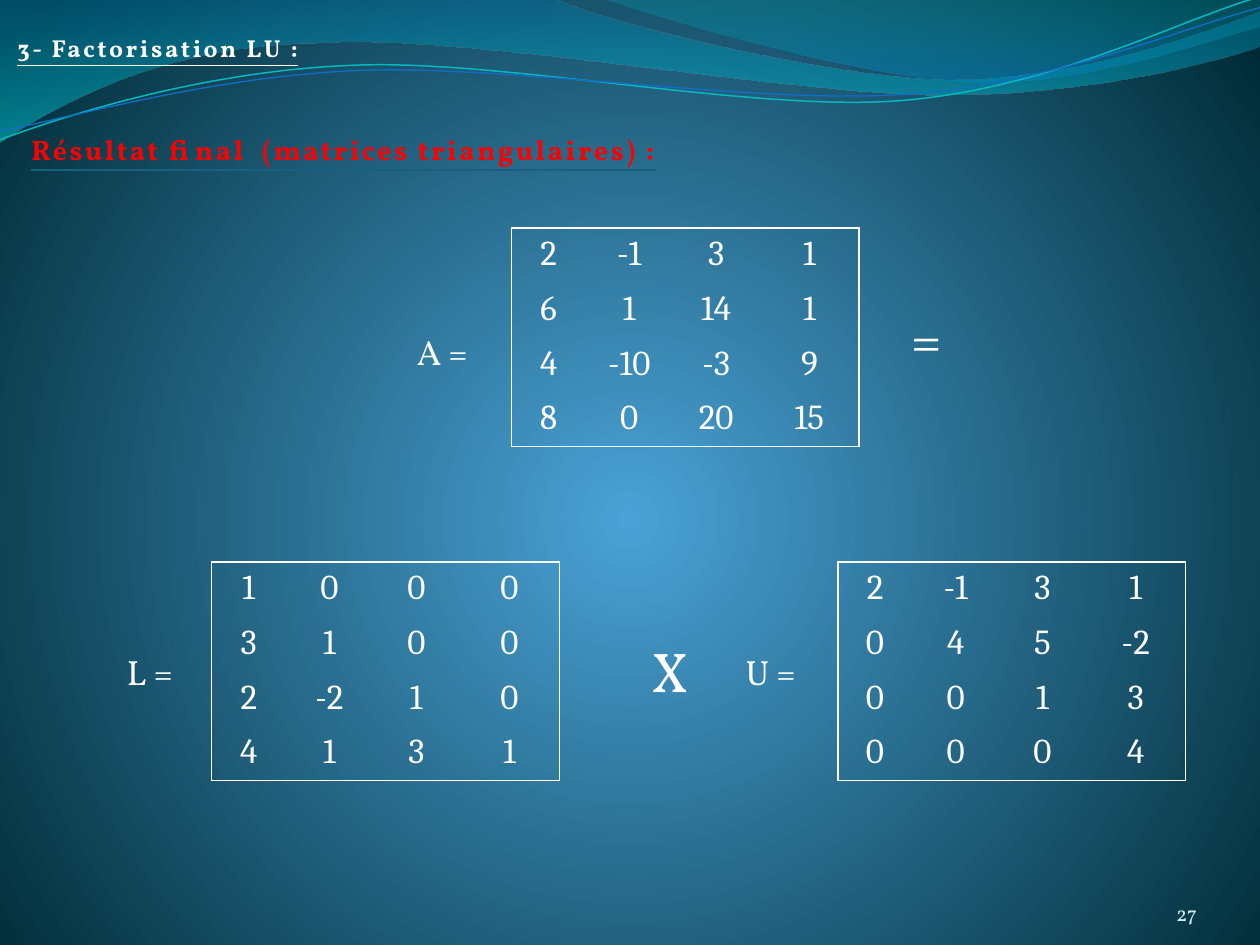
"""Build the LU factorisation result slide: A = L x U over a wave background."""
import math
import pptx
import pptx.dml.color
import pptx.enum.text
import pptx.oxml
import pptx.oxml.ns
import pptx.util
from dataclasses import dataclass


@dataclass(frozen=True)
class Theme:
    """Colours, fonts and sizes of the slide."""
    white: str = "FFFFFF"
    red: str = "FF0000"
    pale: str = "D1EAED"
    dark_teal: str = "17607F"
    text_font: str = "Vollkorn"
    number_font: str = "Cambria"
    small: int = 12
    heading: int = 14
    subheading: int = 16
    body: int = 20
    operator: int = 32
    tracking: float = 1.5
    border: float = 0.96
    backdrop: tuple = ((0, "4AA2D6", 100), (100, "002B36", 100))
    broad_wave: tuple = ((0, "0074A0", 45), (100, "00C4CD", 55))
    corner_wave: tuple = ((20, "008ABF", 45), (100, "00A0A8", 30))
    teal_line: str = "09B7BF"
    blue_line: str = "0F6FC6"


THEME = Theme()
WIDTH, HEIGHT = 10, 7.5
COLUMNS = (0.59, 0.69, 0.69, 0.79)
ROW = 0.43
TILT = 357.3
NO_GRID_STYLE = "{2D5ABB26-0587-4C30-8999-92F81FD0307C}"
GLOW = '<a:path path="circle"><a:fillToRect l="50000" t="55000" r="50000" b="45000"/></a:path>'
DOWN = '<a:lin ang="5400000" scaled="0"/>'
UP = '<a:lin ang="16200000" scaled="0"/>'

MATRICES = [
    ((1.68, 4.46), [(1, 0, 0, 0), (3, 1, 0, 0), (2, -2, 1, 0), (4, 1, 3, 1)]),
    ((6.65, 4.46), [(2, -1, 3, 1), (0, 4, 5, -2), (0, 0, 1, 3), (0, 0, 0, 4)]),
    ((4.06, 1.81), [(2, -1, 3, 1), (6, 1, 14, 1), (4, -10, -3, 9), (8, 0, 20, 15)]),
]
HEADINGS = [
    ("3- Factorisation LU :", (0.04, 0.21, 3.68, 0.33),
     THEME.heading, THEME.white, THEME.white),
    ("Résultat final  (matrices triangulaires) :", (0.15, 1, 5.4, 0.37),
     THEME.subheading, THEME.red, THEME.dark_teal),
]
LABELS = [
    ("L =", (0.91, 5.11, 0.7, 0.43), THEME.body),
    ("U =", (5.82, 5.11, 0.7, 0.43), THEME.body),
    ("A =", (3.21, 2.57, 0.7, 0.43), THEME.body),
    ("=", (7.13, 2.36, 0.39, 0.64), THEME.operator),
    ("X", (5.07, 5, 0.39, 0.64), THEME.operator),
]
PAGE_NUMBER = ("27", (8.67, 6.95, 0.83, 0.4))

BANDS = [
    ((-0.01, -0.01, 10.02, 1.14),
     [(0, 0), (4.4, -0.01),
      (4.76, 0.17, 6.64, 0.63, 7.58, 0.63), (8.53, 0.63, 9.58, 0.26, 10, 0.09),
      (10.01, 0.36),
      (9.83, 0.44, 8.7, 0.76, 7.46, 0.75), (6.22, 0.75, 3.82, 0.28, 2.57, 0.34),
      (1.29, 0.35, 0.46, 0.83, -0.01, 1.13), (0, 0)], THEME.broad_wave, DOWN),
    ((4.79, -0.01, 5.21, 0.7),
     [(4.79, -0.01),
      (5.09, 0.11, 6.82, 0.62, 7.69, 0.65), (8.56, 0.69, 9.61, 0.32, 10, 0.21),
      (10, 0), (4.79, -0.01)], THEME.corner_wave, UP),
]
STRANDS = [
    ((-0.02, 0.22, 10.02, 0.71),
     [(0, 1.11), (0.48, 0.93, 1.58, 0.57, 2.77, 0.52),
      (3.95, 0.46, 5.93, 0.89, 7.13, 0.8), (8.33, 0.71, 9.38, 0.15, 9.98, -0.02)],
     THEME.teal_line, 0.85),
    ((-0.02, 0.3, 10.03, 0.58),
     [(0, 1.04), (0.47, 0.96, 1.64, 0.61, 2.83, 0.56),
      (4.03, 0.51, 5.97, 0.83, 7.17, 0.75), (8.36, 0.67, 9.41, 0.21, 10, 0.06)],
     THEME.blue_line, 0.75),
]


def inches(values):
    return [pptx.util.Inches(value) for value in values]


def color(code):
    return pptx.dml.color.RGBColor.from_string(code)


def solid(code):
    return f'<a:solidFill><a:srgbClr val="{code}"/></a:solidFill>'


def find(element, tag):
    return next(element.iter(pptx.oxml.ns.qn(f"a:{tag}")))


def fragment(tag, attributes, content):
    return pptx.oxml.parse_xml(
        f'<a:{tag} {pptx.oxml.ns.nsdecls("a")} {attributes}>{content}</a:{tag}>')


def swap(old, new):
    old.getparent().replace(old, new)


def paint_gradient(fill, element, stops, direction):
    fill.gradient()
    marks = "".join(
        f'<a:gs pos="{place * 1000}"><a:srgbClr val="{code}">'
        f'<a:alpha val="{opacity * 1000}"/></a:srgbClr></a:gs>'
        for place, code, opacity in stops)
    swap(find(element, "gradFill"),
         fragment("gradFill", 'rotWithShape="1"', f"<a:gsLst>{marks}</a:gsLst>{direction}"))


def add_wave(page, frame, segments, rotation=0, closing=""):
    left, top, width, height = frame
    middle_x, middle_y = left + width / 2, top + height / 2
    sine, cosine = math.sin(math.radians(-rotation)), math.cos(math.radians(rotation))

    def mark(x, y):
        across, down = x - middle_x, y - middle_y
        local = inches((across * cosine - down * sine + width / 2,
                        across * sine + down * cosine + height / 2))
        return f'<a:pt x="{local[0]}" y="{local[1]}"/>'

    strokes = ""
    for index, segment in enumerate(segments):
        tag = "moveTo" if index == 0 else "lnTo" if len(segment) == 2 else "cubicBezTo"
        marks = "".join(mark(*pair) for pair in zip(segment[::2], segment[1::2]))
        strokes += f"<a:{tag}>{marks}</a:{tag}>"
    builder = page.shapes.build_freeform(*inches((left, top)))
    builder.add_line_segments([inches((left + width, top + height))], close=False)
    wave = builder.convert_to_shape()
    size = f'w="{wave.width}" h="{wave.height}"'
    swap(find(wave.element, "path"), fragment("path", size, strokes + closing))
    wave.rotation = rotation
    wave.shadow.inherit = False
    return wave


def style_span(span, size, code, font):
    span.font.size = pptx.util.Pt(size)
    span.font.name = font
    span.font.color.rgb = color(code)


def add_text(page, text, place, size, code):
    box = page.shapes.add_textbox(*inches(place))
    box.text_frame.word_wrap = True
    para = box.text_frame.paragraphs[0]
    para.text = text
    style_span(para.runs[0], size, code, THEME.text_font)
    return box


def add_heading(page, text, place, size, code, underline):
    box = add_text(page, text, place, size, code)
    font = box.text_frame.paragraphs[0].runs[0].font
    font.bold = font.underline = True
    properties = find(box.element, "rPr")
    properties.set("spc", str(round(THEME.tracking * 100)))
    find(properties, "latin").addprevious(fragment("uFill", "", solid(underline)))


def add_matrix(page, corner, rows):
    place = inches((*corner, sum(COLUMNS), ROW * len(rows)))
    frame = page.shapes.add_table(len(rows), len(COLUMNS), *place)
    grid = frame.table
    grid.first_row = grid.horz_banding = False
    find(frame.element, "tableStyleId").text = NO_GRID_STYLE
    for column, width in zip(grid.columns, COLUMNS):
        column.width = pptx.util.Inches(width)
    line_width = f'w="{pptx.util.Pt(THEME.border)}"'
    properties = frame.element.iter(pptx.oxml.ns.qn("a:tcPr"))
    for r, row in enumerate(rows):
        for c, number in enumerate(row):
            cell, cell_properties = grid.cell(r, c), next(properties)
            edges = {"lnL": c == 0, "lnR": c == len(row) - 1,
                     "lnT": r == 0, "lnB": r == len(rows) - 1}
            for edge, shown in edges.items():
                if shown:
                    cell_properties.append(fragment(edge, line_width, solid(THEME.white)))
            cell.fill.background()
            para = cell.text_frame.paragraphs[0]
            para.text = str(number)
            para.alignment = pptx.enum.text.PP_ALIGN.CENTER
            style_span(para.runs[0], THEME.body, THEME.white, THEME.number_font)


def main():
    deck = pptx.Presentation()
    deck.slide_width, deck.slide_height = inches((WIDTH, HEIGHT))
    page = deck.slides.add_slide(deck.slide_layouts[6])
    paint_gradient(page.background.fill, page.element, THEME.backdrop, GLOW)
    for frame, segments, stops, direction in BANDS:
        band = add_wave(page, frame, segments, closing="<a:close/>")
        paint_gradient(band.fill, band.element, stops, direction)
        band.line.fill.background()
    for frame, segments, code, width in STRANDS:
        strand = add_wave(page, frame, segments, TILT)
        strand.fill.background()
        strand.line.color.rgb = color(code)
        strand.line.width = pptx.util.Pt(width)
    number = add_text(page, *PAGE_NUMBER, THEME.small, THEME.pale).text_frame
    number.margin_left = number.margin_right = number.margin_top = number.margin_bottom = 0
    number.vertical_anchor = pptx.enum.text.MSO_ANCHOR.BOTTOM
    number.paragraphs[0].alignment = pptx.enum.text.PP_ALIGN.RIGHT
    for heading in HEADINGS:
        add_heading(page, *heading)
    for corner, rows in MATRICES:
        add_matrix(page, corner, rows)
    for text, place, size in LABELS:
        add_text(page, text, place, size, THEME.white)
    deck.save("out.pptx")


if __name__ == "__main__":
    main()
